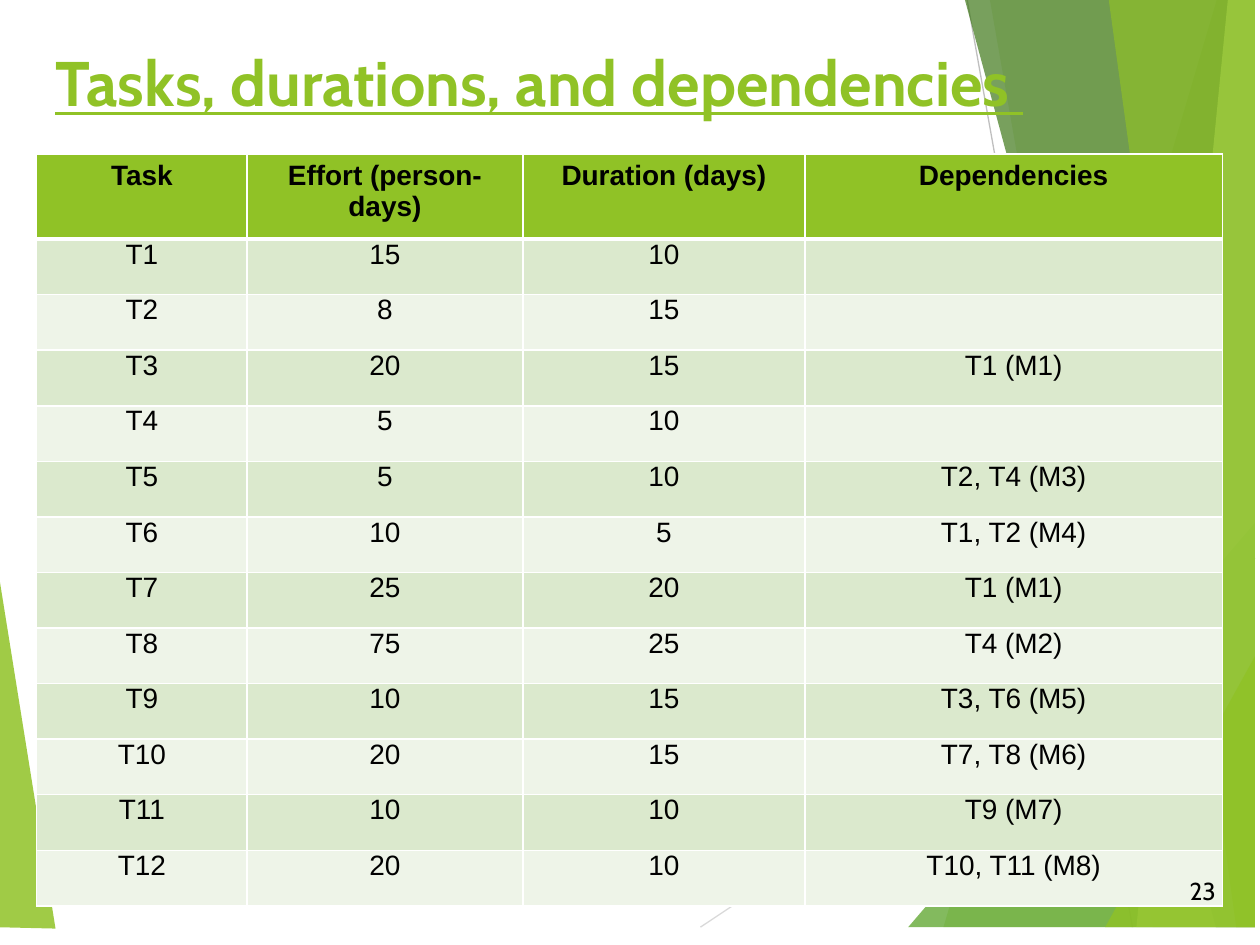
from lxml import etree
from pptx import Presentation
from pptx import util as u
from pptx.dml.color import RGBColor
from pptx.enum import shapes, text
from pptx.oxml.ns import qn

GREEN, WHITE, BLACK = "90C226", "FFFFFF", "000000"
TOP, BOTTOM, RIGHT = -0.38, 18.69, 25.3

# Each facet: fill, opacity in percent, corner points in cm
FACETS = [
    (GREEN, 85, [(-0.15, 10.8), (1.12, 18.72), (-0.15, BOTTOM)]),
    (GREEN, 30, [(24.64, TOP), (19.02, BOTTOM), (RIGHT, BOTTOM), (RIGHT, TOP)]),
    (GREEN, 20, [(19.89, TOP), (23.24, BOTTOM), (RIGHT, BOTTOM), (RIGHT, TOP)]),
    ("54A021", 72, [(18.31, BOTTOM), (RIGHT, 10.54), (RIGHT, BOTTOM)]),
    ("3F7819", 70, [(19.35, TOP), (24.51, BOTTOM), (RIGHT, BOTTOM), (RIGHT, TOP)]),
    ("C0E474", 70, [(24.79, TOP), (22.91, BOTTOM), (RIGHT, BOTTOM), (RIGHT, TOP)]),
    (GREEN, 65, [(22.3, TOP), (24.92, BOTTOM), (RIGHT, BOTTOM), (RIGHT, TOP)]),
    (GREEN, 80, [(22.28, BOTTOM), (RIGHT, 13.23), (RIGHT, BOTTOM)]),
]
RAYS = [
    ("D9D9D9", (14.12, BOTTOM, RIGHT, 11.25)),
    ("BFBFBF", (19.43, TOP, 22.83, BOTTOM)),
]

COLUMN_WIDTHS = [4.24, 5.56, 5.69, 8.41]
HEADER_HEIGHT, ROW_HEIGHT = 1.72, 1.12
HEADERS = ("Task", "Effort (person-days)", "Duration (days)", "Dependencies")
TASKS = [
    ("T1", 15, 10, ""),
    ("T2", 8, 15, ""),
    ("T3", 20, 15, "T1 (M1)"),
    ("T4", 5, 10, ""),
    ("T5", 5, 10, "T2, T4 (M3)"),
    ("T6", 10, 5, "T1, T2 (M4)"),
    ("T7", 25, 20, "T1 (M1)"),
    ("T8", 75, 25, "T4 (M2)"),
    ("T9", 10, 15, "T3, T6 (M5)"),
    ("T10", 20, 15, "T7, T8 (M6)"),
    ("T11", 10, 10, "T9 (M7)"),
    ("T12", 20, 10, "T10, T11 (M8)"),
]


def rgb(color):
    return RGBColor.from_string(color)


def cm(values):
    return [u.Cm(v) for v in values]


def set_font(p, name, size, color, bold=False, underline=False):
    for r in p.runs:
        font = r.font
        font.name, font.size = name, u.Pt(size)
        font.bold, font.underline = bold, underline
        font.color.rgb = rgb(color)


def add_facet(slide, color, opacity, points):
    start, *rest = [cm(point) for point in points]
    builder = slide.shapes.build_freeform(*start)
    builder.add_line_segments(rest, close=True)
    sp = builder.convert_to_shape()
    sp.shadow.inherit = False
    sp.line.fill.background()
    sp.fill.solid()
    sp.fill.fore_color.rgb = rgb(color)
    clr = sp.fill._xPr.find(f"{qn('a:solidFill')}/{qn('a:srgbClr')}")
    etree.SubElement(clr, qn("a:alpha"), val=str(opacity * 1000))


def add_ray(slide, color, ends):
    line = slide.shapes.add_connector(shapes.MSO_CONNECTOR.STRAIGHT, *cm(ends))
    line.line.color.rgb = rgb(color)
    line.line.width = u.Pt(0.75)
    etree.SubElement(line._element.spPr, qn("a:effectLst"))


def add_text(slide, box, content, size, color, align, anchor, **style):
    tf = slide.shapes.add_textbox(*cm(box)).text_frame
    tf.word_wrap = True
    tf.vertical_anchor = anchor
    tf.text = content
    p = tf.paragraphs[0]
    p.alignment = align
    set_font(p, "Cabin", size, color, **style)


def set_borders(cell, top, bottom):
    """Draw white cell borders; top and bottom widths are in points."""
    tc_pr = cell._tc.get_or_add_tcPr()
    for side, width in (("L", 1), ("R", 1), ("T", top), ("B", bottom)):
        ln = etree.SubElement(tc_pr, qn(f"a:ln{side}"), w=str(u.Pt(width)))
        fill = etree.SubElement(ln, qn("a:solidFill"))
        etree.SubElement(fill, qn("a:srgbClr"), val=WHITE)


def fill_cell(cell, content, row):
    header = row == 0
    set_borders(cell, top=3 if row == 1 else 1, bottom=3 if header else 1)
    cell.fill.solid()
    banding = "DBE9CD" if row % 2 else "EEF4E8"
    cell.fill.fore_color.rgb = rgb(GREEN if header else banding)
    cell.margin_left = cell.margin_right = u.Cm(0.15)
    cell.margin_top = u.Cm(0.13 if header else 0)
    cell.margin_bottom = u.Cm(0.13)
    cell.text_frame.text = str(content)
    p = cell.text_frame.paragraphs[0]
    p.alignment = text.PP_ALIGN.CENTER
    set_font(p, "Arial", 16, BLACK, bold=header)


def add_task_table(slide, left, top):
    rows = [HEADERS, *TASKS]
    size = (sum(COLUMN_WIDTHS), HEADER_HEIGHT + ROW_HEIGHT * len(TASKS))
    table = slide.shapes.add_table(
        len(rows), len(HEADERS), *cm((left, top, *size))).table
    for column, width in zip(table.columns, COLUMN_WIDTHS):
        column.width = u.Cm(width)
    for i, values in enumerate(rows):
        table.rows[i].height = u.Cm(ROW_HEIGHT if i else HEADER_HEIGHT)
        for j, value in enumerate(values):
            fill_cell(table.cell(i, j), value, i)


def main():
    prs = Presentation()
    prs.slide_width, prs.slide_height = cm((25.4, 19.05))
    slide = prs.slides.add_slide(prs.slide_layouts[6])

    left_wedge, *right_facets = FACETS
    add_facet(slide, *left_wedge)
    for ray in RAYS:
        add_ray(slide, *ray)
    for facet in right_facets:
        add_facet(slide, *facet)

    add_text(slide, (0.86, 0.76, 23.27, 2.51),
             "Tasks, durations, and dependencies ", 36, GREEN,
             text.PP_ALIGN.LEFT, text.MSO_ANCHOR.TOP, bold=True, underline=True)
    add_task_table(slide, 0.74, 3.1)
    add_text(slide, (23.34, 17.45, 1.42, 1.02), "23", 14, BLACK,
             text.PP_ALIGN.RIGHT, text.MSO_ANCHOR.MIDDLE)
    prs.save("out.pptx")


if __name__ == "__main__":
    main()
